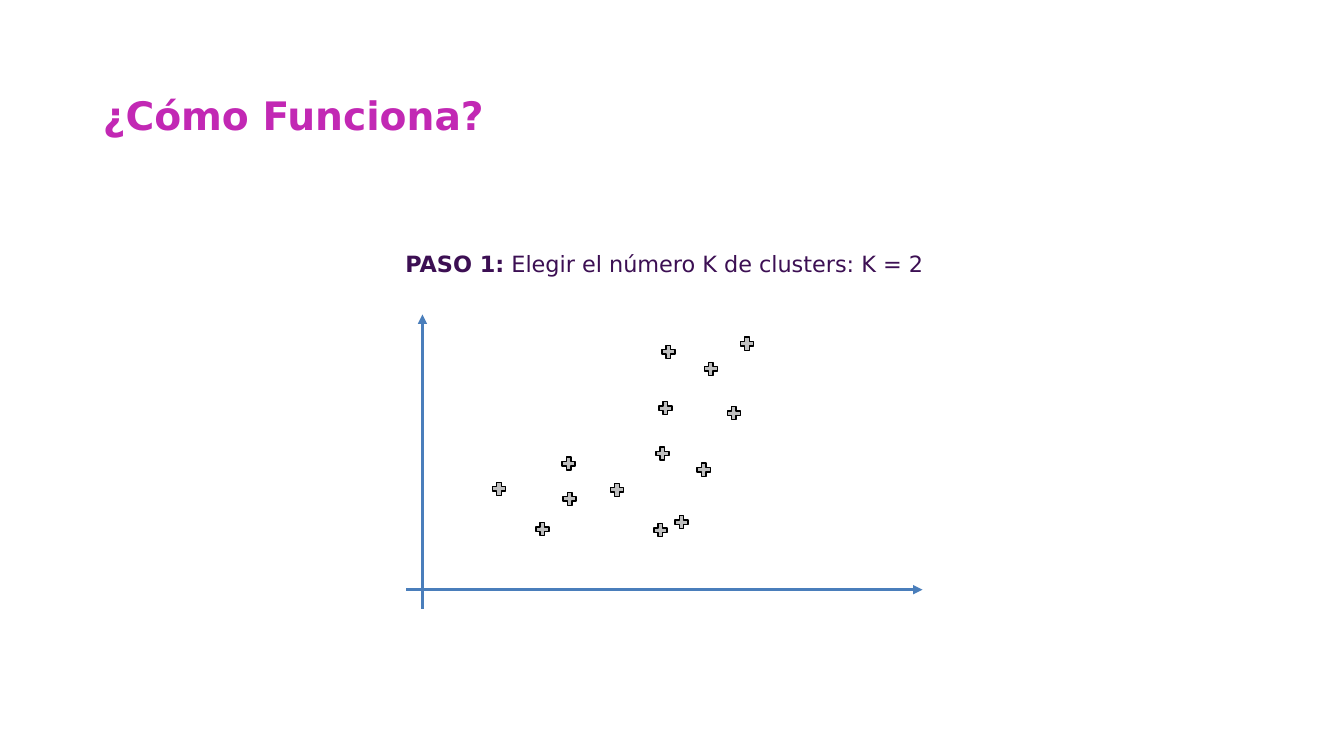
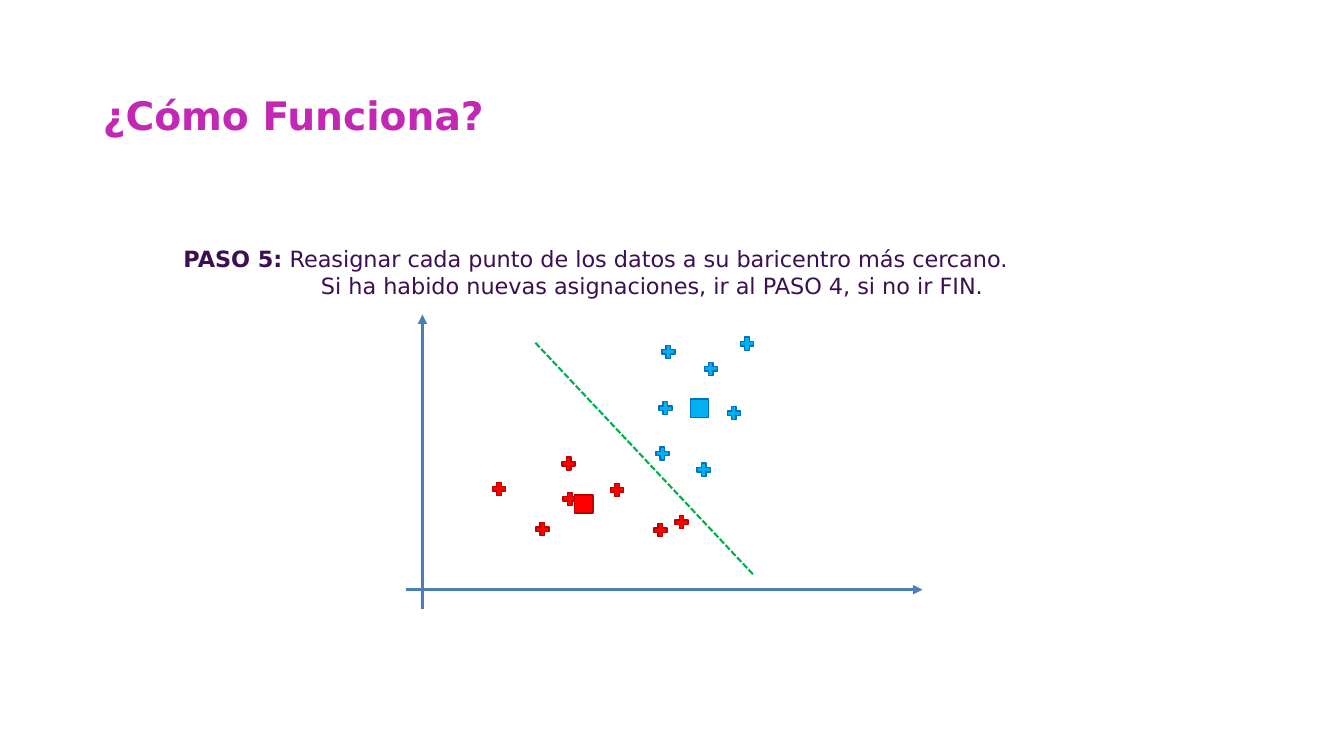
from lxml import etree
from pptx import Presentation
from pptx.dml.color import RGBColor
from pptx.enum.dml import MSO_LINE
from pptx.enum.shapes import MSO_CONNECTOR, MSO_SHAPE
from pptx.enum.text import MSO_ANCHOR, PP_ALIGN
from pptx.oxml.ns import qn
from pptx.util import Inches, Pt

LINE = MSO_CONNECTOR.STRAIGHT
CROSS, RECT = MSO_SHAPE.CROSS, MSO_SHAPE.RECTANGLE
DASH = MSO_LINE.SQUARE_DOT
LEFT, MID = PP_ALIGN.LEFT, PP_ALIGN.CENTER
MIDDLE = MSO_ANCHOR.MIDDLE

FONT = "DejaVu Sans"
PINK = RGBColor(0xC2, 0x28, 0xB4)
PURPLE = RGBColor(0x3C, 0x0F, 0x53)
AXIS = RGBColor(0x4A, 0x7E, 0xBB)
GREEN = RGBColor(0x00, 0xB0, 0x50)
# Fill and outline of each kind of point
GRAY = RGBColor(0xBF, 0xBF, 0xBF), RGBColor(0, 0, 0)
RED = RGBColor(0xFF, 0, 0), RGBColor(0xC0, 0, 0)
BLUE = RGBColor(0, 0xB0, 0xF0), RGBColor(0, 0x70, 0xC0)

# Content: point centres in inches
TITLE = "¿Cómo Funciona?"
LOW = [(4.95, 4.85), (5.38, 5.25), (5.64, 4.6), (5.65, 4.95),
       (6.12, 4.86), (6.55, 5.26), (6.76, 5.18)]
HIGH = [(6.57, 4.5), (6.6, 4.05), (6.63, 3.49), (6.98, 4.66),
        (7.05, 3.66), (7.28, 4.1), (7.41, 3.41)]
AXES = [((4.19, 6.04), (4.19, 3.12)), ((4.03, 5.85), (9.15, 5.85))]
SPLIT = (5.31, 3.4), (7.48, 5.71)
PLUS, SQUARE = 0.13, 0.18

# Each text line: bold lead, rest, left indent (None is centred)
STEPS = [
    {"box": (3.8, 2.43, 5.58, 0.37),
     "lines": [("PASO 1:", " Elegir el número K de clusters: K = 2", None)],
     "low": GRAY, "high": GRAY, "means": [], "split": None},
    {"box": (1.47, 2.38, 10, 0.64),
     "lines": [
         ("PASO 5:", " Reasignar cada punto de los datos a su baricentro"
          " más cercano.", 0.3),
         ("", "Si ha habido nuevas asignaciones, ir al PASO 4,"
          " si no ir FIN.", None)],
     "low": RED, "high": BLUE,
     "means": [((5.79, 5), RED), ((6.94, 4.05), BLUE)], "split": SPLIT},
]


def style(font, size, color, bold):
    font.name, font.size, font.bold = FONT, Pt(size), bold
    font.color.rgb = color


def add_title(slide):
    title = slide.shapes.title
    title.left, title.top, title.width, title.height = map(
        Inches, (0.92, 0.71, 11.5, 0.91))
    frame = title.text_frame
    frame.text = TITLE
    frame.vertical_anchor = MIDDLE
    para = frame.paragraphs[0]
    para.alignment, para.line_spacing = LEFT, 0.9
    style(para.runs[0].font, 28, PINK, True)


def add_step(slide, box, lines):
    frame = slide.shapes.add_textbox(*map(Inches, box)).text_frame
    frame.word_wrap = True
    frame.margin_left = frame.margin_right = Inches(0.05)
    frame.margin_top = frame.margin_bottom = Inches(0.05)
    for i, (lead, rest, indent) in enumerate(lines):
        para = frame.add_paragraph() if i else frame.paragraphs[0]
        para.alignment = MID if indent is None else LEFT
        if indent is not None:
            para._p.get_or_add_pPr().set("marL", str(Inches(indent)))
        for text, bold in ((lead, True), (rest, False)):
            if text:
                run = para.add_run()
                run.text = text
                style(run.font, 16, PURPLE, bold)


def add_line(slide, ends, color, width):
    start, end = ends
    link = slide.shapes.add_connector(LINE, *map(Inches, start + end))
    link.line.color.rgb, link.line.width = color, Pt(width)
    etree.SubElement(link._element.spPr, qn("a:effectLst"))
    return link


def add_mark(slide, kind, centre, size, colors):
    x, y = centre
    mark = slide.shapes.add_shape(
        kind, *map(Inches, (x - size / 2, y - size / 2, size, size)))
    mark.shadow.inherit = False
    mark.fill.solid()
    mark.fill.fore_color.rgb, mark.line.color.rgb = colors
    mark.line.width = Pt(1)
    if kind == CROSS:
        mark.adjustments[0] = 0.33


def add_plot(slide, step):
    for ends in AXES:
        axis = add_line(slide, ends, AXIS, 2.25)
        etree.SubElement(axis.line._get_or_add_ln(), qn("a:tailEnd"),
                         type="triangle")
    for group, key in ((LOW, "low"), (HIGH, "high")):
        for centre in group:
            add_mark(slide, CROSS, centre, PLUS, step[key])
    if step["split"]:
        add_line(slide, step["split"], GREEN, 1.5).line.dash_style = DASH
    for centre, colors in step["means"]:
        add_mark(slide, RECT, centre, SQUARE, colors)


def main():
    deck = Presentation()
    deck.slide_width, deck.slide_height = Inches(13.33), Inches(7.5)
    for step in STEPS:
        slide = deck.slides.add_slide(deck.slide_layouts[5])
        add_title(slide)
        add_step(slide, step["box"], step["lines"])
        add_plot(slide, step)
    deck.save("out.pptx")


if __name__ == "__main__":
    main()
